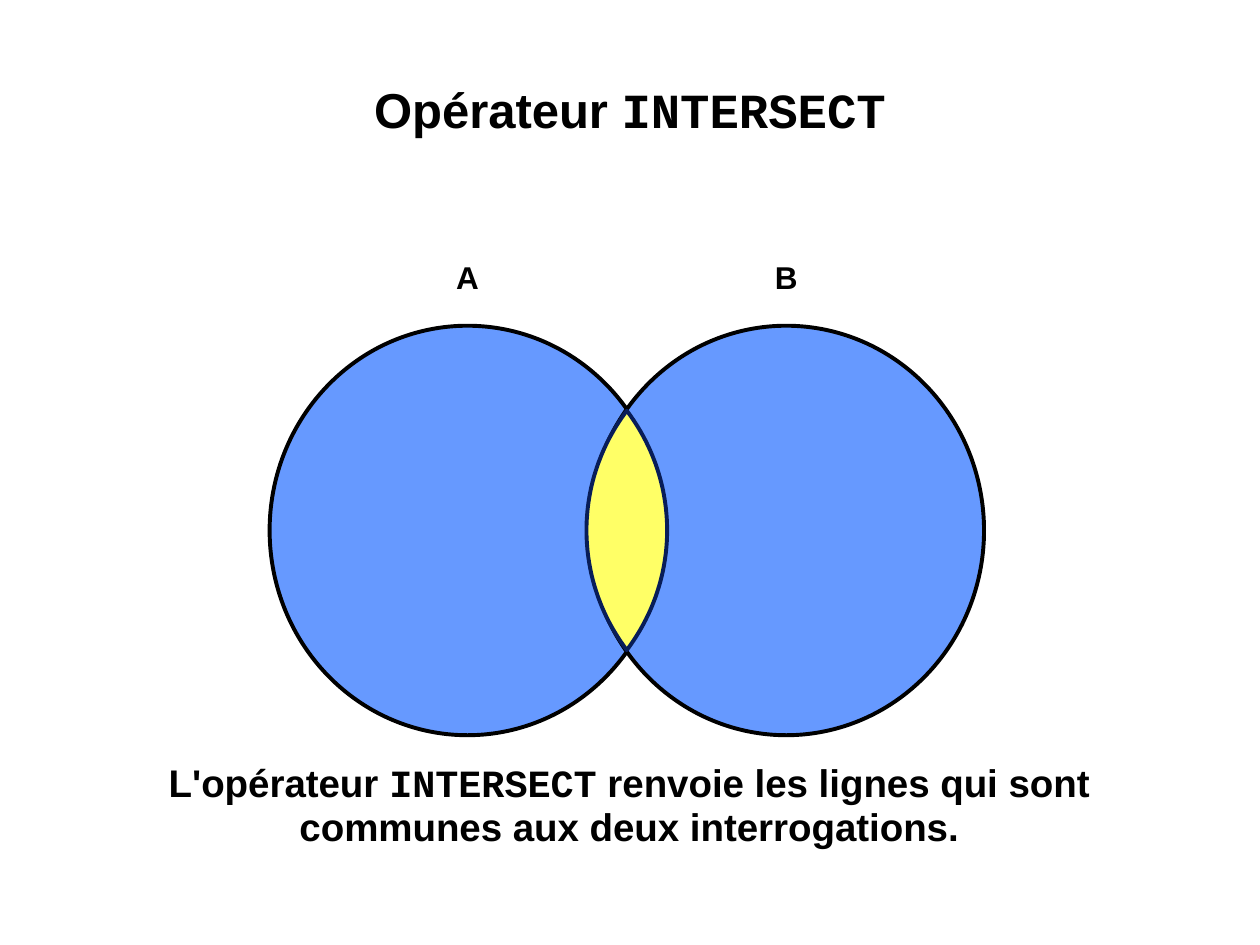
from math import acos, asin, cos, pi, sin

from pptx import Presentation
from pptx.dml.color import RGBColor
from pptx.enum.shapes import MSO_SHAPE
from pptx.enum.text import MSO_ANCHOR, PP_ALIGN
from pptx.util import Inches, Pt

WIDE, HIGH = 10, 7.5
COLS, ROWS = 20, 15


def tint(code):
    return RGBColor.from_string(code)


def put(item, form):
    for name, value in form.items():
        setattr(item, name, value)


class Page:
    ink, blue, gold, navy = "000000", "6699FF", "FFFF66", "081D58"
    sans, mono = "Arial", "Courier New"
    edge = Pt(2.25)

    def __init__(self, deck):
        self.slide = deck.slides.add_slide(deck.slide_layouts[6])
        self.shapes = self.slide.shapes

    def cell(self, col, row):
        return Inches(col * WIDE / COLS), Inches(row * HIGH / ROWS)

    def paint(self, shape, fill, line):
        shape.shadow.inherit = False
        shape.fill.solid()
        shape.fill.fore_color.rgb = tint(fill)
        shape.line.color.rgb = tint(line)
        shape.line.width = self.edge

    def text(self, spot, size, runs, points, frame=None, para=None):
        box = self.shapes.add_textbox(*self.cell(*spot), *self.cell(*size))
        body = box.text_frame
        put(body, {"word_wrap": True, "vertical_anchor": MSO_ANCHOR.TOP, **(frame or {})})
        first = body.paragraphs[0]
        put(first, {"alignment": PP_ALIGN.CENTER, **(para or {})})
        for words, face in runs:
            run = first.add_run()
            run.text = words
            put(run.font, {"name": face, "size": Pt(points), "bold": True})
            run.font.color.rgb = tint(self.ink)

    def disc(self, mid, rad):
        (x, y), (rx, ry) = mid, rad
        shape = self.shapes.add_shape(
            MSO_SHAPE.OVAL, *self.cell(x - rx, y - ry), *self.cell(2 * rx, 2 * ry))
        self.paint(shape, self.blue, self.ink)

    def lens(self, mid, half, turn, steps=64):
        (x, y), (rx, ry) = mid, half
        dots = []
        for side in (1, -1):
            for step in range(steps):
                angle = side * turn * (2 * step / steps - 1)
                bulge = (cos(angle) - cos(turn)) / (1 - cos(turn))
                rise = sin(angle) / sin(turn)
                dots.append(self.cell(x + side * rx * bulge, y + ry * rise))
        build = self.shapes.build_freeform(*dots[0], scale=1.0)
        build.add_line_segments(dots[1:], close=True)
        self.paint(build.convert_to_shape(), self.gold, self.navy)


def main():
    deck = Presentation()
    put(deck, {"slide_width": Inches(WIDE), "slide_height": Inches(HIGH)})
    page = Page(deck)
    sans, mono = page.sans, page.mono

    page.text((2, 1.16), (16, 1.92), [("Opérateur ", sans), ("INTERSECT", mono)], 28,
              {"margin_left": Inches(0.01), "margin_right": Inches(0.01),
               "margin_top": Inches(0.05), "margin_bottom": Inches(0.01)})

    mid, rad, gap = (9.95, 8.42), (3.14, 3.25), 2.53
    for name, side in (("A", -1), ("B", 1)):
        x = mid[0] + side * gap
        page.disc((x, mid[1]), rad)
        page.text((x - 0.38, 4), (0.76, 0.8), [(name, sans)], 18, {"word_wrap": False})

    half = (0.64, 1.9)
    page.lens(mid, half, asin(half[1] / rad[1]))

    page.text((2.04, 12), (15.9, 1.6),
              [("L'opérateur ", sans), ("INTERSECT", mono),
               (" renvoie les lignes qui sont communes aux deux interrogations.", sans)],
              22, para={"line_spacing": 0.95})
    deck.save("out.pptx")


if __name__ == "__main__":
    main()
